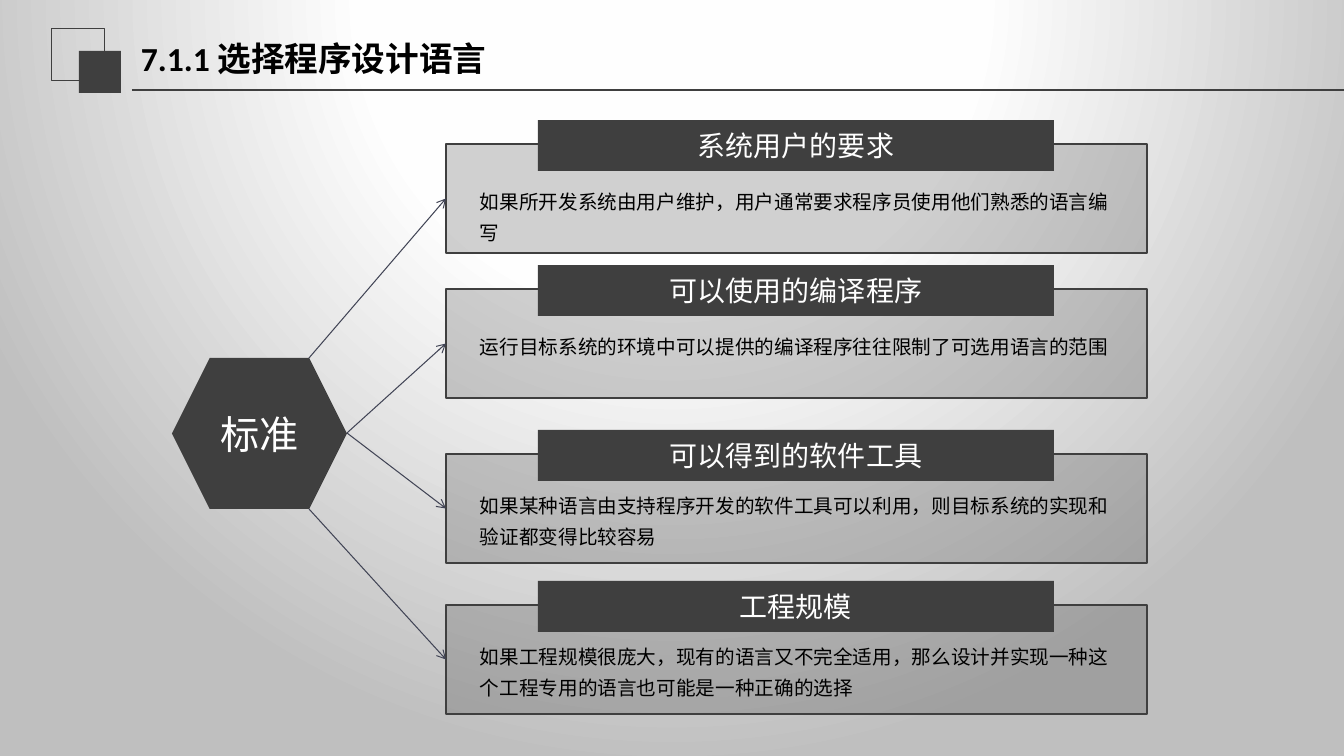
import pptx
import pptx.util
import pptx.dml.color
import pptx.enum.shapes
import pptx.enum.text
import pptx.oxml
import pptx.oxml.ns
import lxml.etree

DARK = pptx.dml.color.RGBColor(0x3F, 0x3F, 0x3F)
SLATE = pptx.dml.color.RGBColor(0x41, 0x44, 0x55)
BLACK = pptx.dml.color.RGBColor(0, 0, 0)
WHITE = pptx.dml.color.RGBColor(255, 255, 255)

SCALE = 12192000 / 1344
FONT = "Noto Sans CJK SC"
RECT = pptx.enum.shapes.MSO_SHAPE.RECTANGLE
HEX = pptx.enum.shapes.MSO_SHAPE.HEXAGON
LINE = pptx.enum.shapes.MSO_CONNECTOR.STRAIGHT
LEFT = pptx.enum.text.PP_ALIGN.LEFT
MID = pptx.enum.text.PP_ALIGN.CENTER
TOP = pptx.enum.text.MSO_ANCHOR.TOP
CENTER = pptx.enum.text.MSO_ANCHOR.MIDDLE
GROW = pptx.enum.text.MSO_AUTO_SIZE.SHAPE_TO_FIT_TEXT
qn = pptx.oxml.ns.qn

TITLE = {
    "frame": {"word_wrap": True, "vertical_anchor": CENTER},
    "para": {"alignment": LEFT},
    "font": {"size": pptx.util.Pt(24), "name": "Calibri", "bold": True},
    "color": BLACK,
}
HEAD = {
    "frame": {"word_wrap": True, "vertical_anchor": CENTER},
    "para": {"alignment": MID},
    "font": {"size": pptx.util.Pt(20), "name": FONT},
    "color": WHITE,
}
HUB = {**HEAD, "font": {"size": pptx.util.Pt(28), "name": FONT}}
BODY = {
    "frame": {"word_wrap": True, "vertical_anchor": TOP, "auto_size": GROW},
    "para": {"alignment": LEFT, "line_spacing": 1.3},
    "font": {"size": pptx.util.Pt(14), "name": FONT},
    "color": BLACK,
}

deck = pptx.Presentation()
deck.slide_width = pptx.util.Emu(12192000)
deck.slide_height = pptx.util.Emu(6858000)
slide = deck.slides.add_slide(deck.slide_layouts[6])
shapes = slide.shapes


def draw(kind, area, fill=None, line=None):
    item = shapes.add_shape(kind, *[round(n * SCALE) for n in area])
    item.shadow.inherit = False
    if fill is None:
        item.fill.background()
    else:
        item.fill.solid()
        item.fill.fore_color.rgb = fill
    if line is None:
        item.line.fill.background()
    else:
        item.line.color.rgb = DARK
        item.line.width = pptx.util.Pt(line)
    return item


def write(item, text, style):
    frame = item.text_frame
    para = frame.paragraphs[0]
    run = para.add_run()
    run.text = text
    for goal, part in ((frame, "frame"), (para, "para"), (run.font, "font")):
        for key, value in style[part].items():
            setattr(goal, key, value)
    run.font.color.rgb = style["color"]
    east = lxml.etree.SubElement(run.font._element, qn("a:ea"))
    east.set("typeface", FONT)


slide.background.fill.gradient()
grad = slide.background._cSld.find(".//" + qn("a:gradFill"))
for child in list(grad):
    grad.remove(child)
stops = lxml.etree.SubElement(grad, qn("a:gsLst"))
for pos, tone in ((0, "FFFFFF"), (40, "FEFEFE"), (100, "BFBFBF")):
    stop = lxml.etree.SubElement(stops, qn("a:gs"), pos=str(pos * 1000))
    lxml.etree.SubElement(stop, qn("a:srgbClr"), val=tone)
ring = lxml.etree.SubElement(grad, qn("a:path"), path="circle")
lxml.etree.SubElement(
    ring, qn("a:fillToRect"), l="50000", t="-80000", r="50000", b="180000"
)

draw(RECT, (52, 29, 53, 52), line=0.75)
draw(RECT, (79, 51, 42, 42), DARK)
rule = shapes.add_connector(LINE, *[round(n * SCALE) for n in (132, 90, 1344, 90)])
rule.line.color.rgb = DARK
rule.line.width = pptx.util.Pt(1.25)
lxml.etree.SubElement(rule._element.spPr, qn("a:effectLst"))

title = shapes.add_textbox(*[round(n * SCALE) for n in (131, 29, 478, 58)])
write(title, "7.1.1 选择程序设计语言", TITLE)

hub = draw(HEX, (172, 358, 175, 151), DARK)
write(hub, "标准", HUB)

cards = [
    (144, 34, 40, (309, 358), "系统用户的要求",
     "如果所开发系统由用户维护，用户通常要求程序员使用他们熟悉的语言编写"),
    (289, 34, 40, (347, 433), "可以使用的编译程序",
     "运行目标系统的环境中可以提供的编译程序往往限制了可选用语言的范围"),
    (454, 28, 72, (347, 433), "可以得到的软件工具",
     "如果某种语言由支持程序开发的软件工具可以利用，则目标系统的实现和验证都变得比较容易"),
    (605, 28, 72, (309, 509), "工程规模",
     "如果工程规模很庞大，现有的语言又不完全适用，那么设计并实现一种这个工程专用的语言也可能是一种正确的选择"),
]
for top, drop, tall, start, head, body in cards:
    box = draw(RECT, (446, top, 701, 109), DARK, 1)
    tint = box._element.spPr.find(qn("a:solidFill")).find(qn("a:srgbClr"))
    lxml.etree.SubElement(tint, qn("a:alpha"), val="24000")

    write(draw(RECT, (538, top - 24, 516, 51), DARK), head, HEAD)

    note = shapes.add_textbox(
        *[round(n * SCALE) for n in (470, top + drop, 667, tall)]
    )
    write(note, body, BODY)

    arrow = shapes.add_connector(
        LINE, *[round(n * SCALE) for n in (*start, 446, top + 54)]
    )
    arrow.end_connect(box, 1)
    arrow.line.color.rgb = SLATE
    arrow.line.width = pptx.util.Pt(0.75)
    lxml.etree.SubElement(arrow.line._get_or_add_ln(), qn("a:tailEnd"), type="arrow")
    lxml.etree.SubElement(arrow._element.spPr, qn("a:effectLst"))

deck.save("out.pptx")
